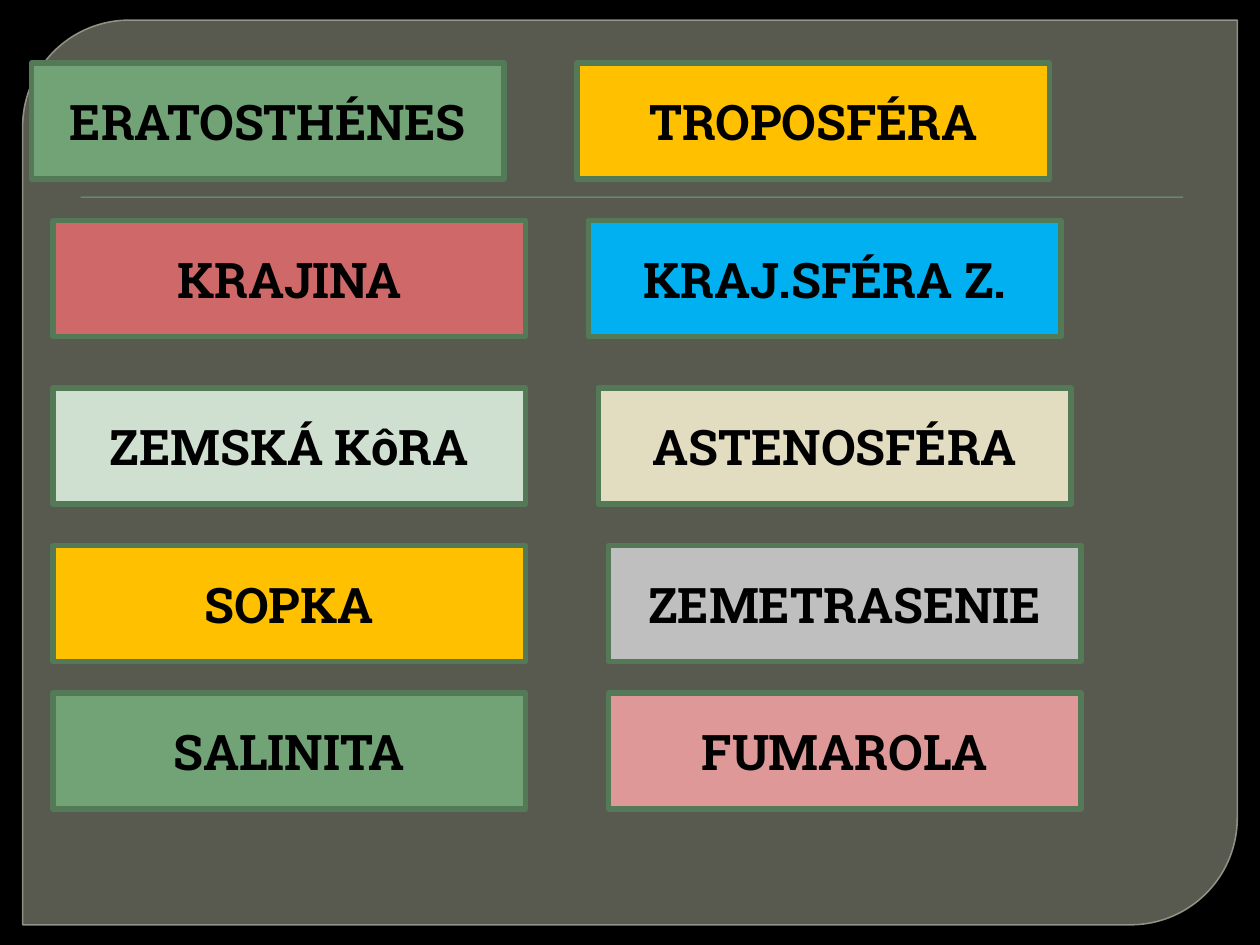
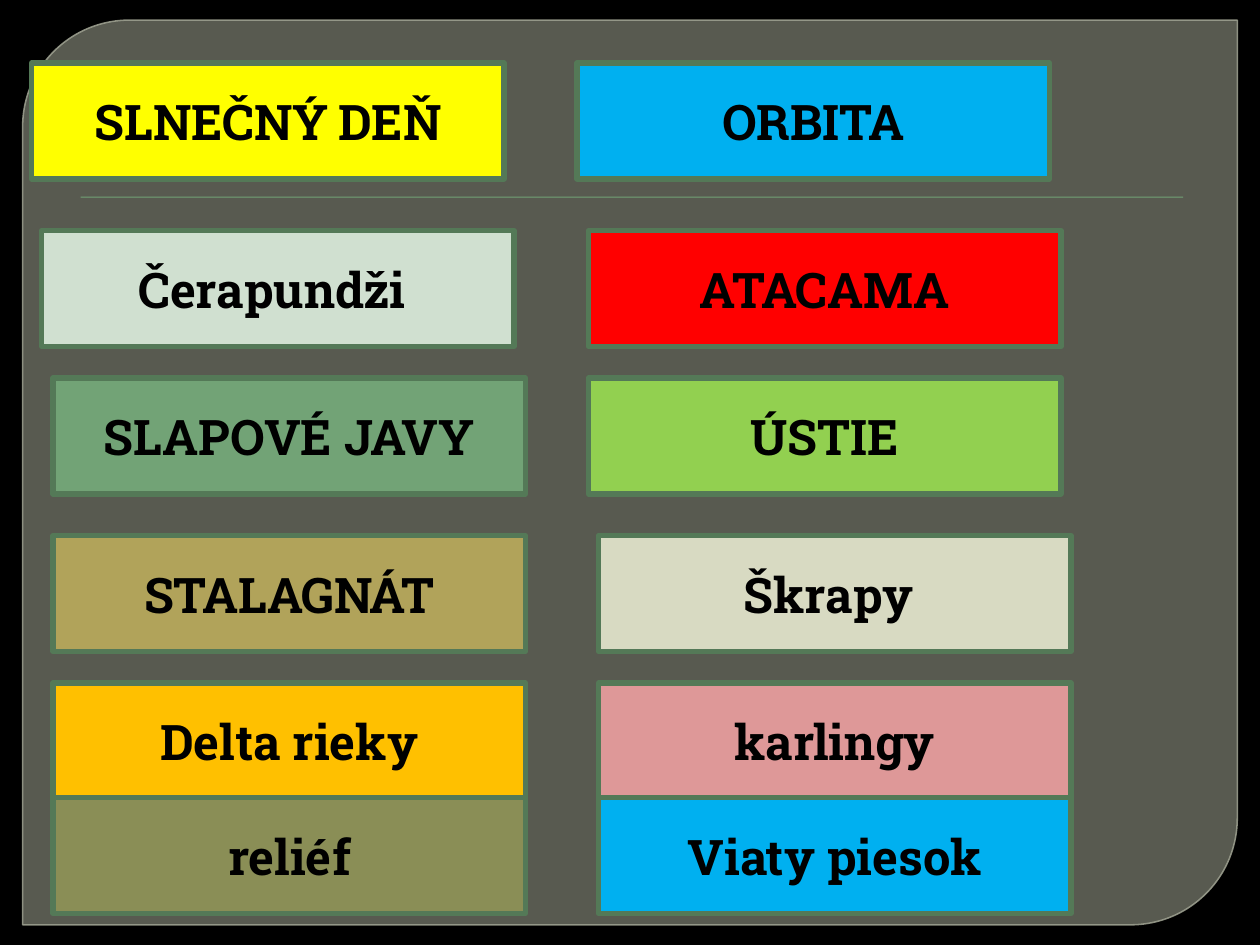
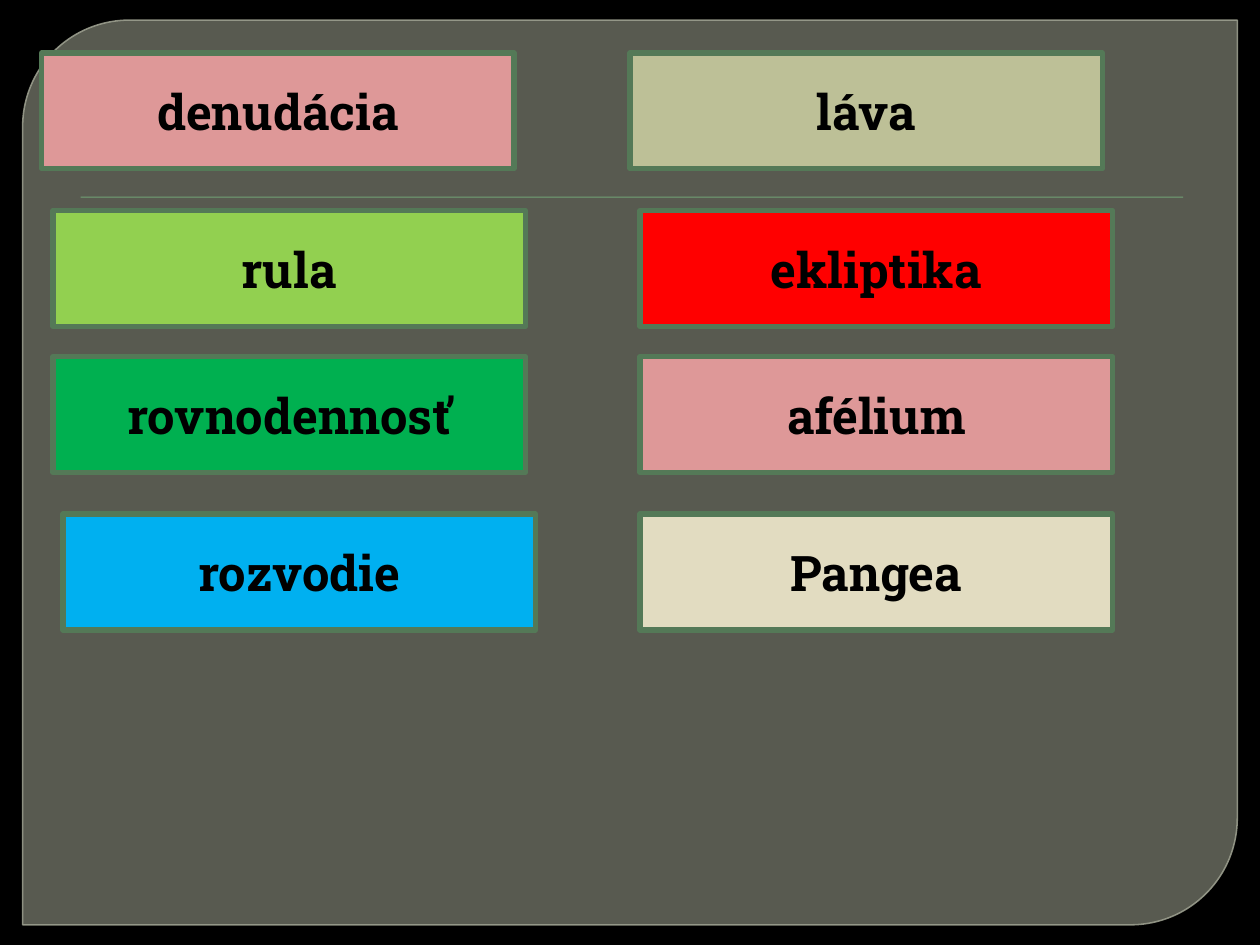
from dataclasses import dataclass

from pptx import Presentation
from pptx.dml.color import RGBColor as Rgb
from pptx.enum.shapes import MSO_SHAPE as Kind
from pptx.enum.text import MSO_ANCHOR as Anchor, PP_ALIGN as Align
from pptx.oxml import parse_xml
from pptx.oxml.ns import nsdecls, qn
from pptx.util import Inches, Pt


@dataclass(frozen=True)
class Theme:
    """Colours, type and card size of the deck."""
    back: str = "000000"
    panel: str = "888B7B"
    rim: str = "9DA090"
    edge: str = "547957"
    ink: str = "000000"
    font: str = "Roboto Slab"
    size: int = 28
    width: float = 3.75
    height: float = 0.92
    green: str = "72A376"
    gold: str = "FFC000"
    rose: str = "CF6868"
    pink: str = "DE9898"
    blue: str = "00B0F0"
    mint: str = "D0E0D0"
    sand: str = "E2DCC1"
    grey: str = "BFBFBF"
    yellow: str = "FFFF00"
    red: str = "FF0000"
    lime: str = "92D050"
    ochre: str = "B1A35A"
    pale: str = "D8DAC2"
    olive: str = "8A8E56"
    moss: str = "BDC097"
    leaf: str = "00B050"


T = Theme()

SLIDES = [
    [
        (0.5, (0.25, "ERATOSTHÉNES", T.green), (4.58, "TROPOSFÉRA", T.gold)),
        (1.75, (0.42, "KRAJINA", T.rose), (4.67, "KRAJ.SFÉRA Z.", T.blue)),
        (3.08, (0.42, "ZEMSKÁ KôRA", T.mint), (4.75, "ASTENOSFÉRA", T.sand)),
        (4.33, (0.42, "SOPKA", T.gold), (4.83, "ZEMETRASENIE", T.grey)),
        (5.5, (0.42, "SALINITA", T.green), (4.83, "FUMAROLA", T.pink)),
    ],
    [
        (0.5, (0.25, "SLNEČNÝ DEŇ", T.yellow), (4.58, "ORBITA", T.blue)),
        (1.83, (0.33, "Čerapundži ", T.mint), (4.67, "ATACAMA", T.red)),
        (3, (0.42, "SLAPOVÉ JAVY", T.green), (4.67, "ÚSTIE", T.lime)),
        (4.25, (0.42, "STALAGNÁT", T.ochre), (4.75, "Škrapy ", T.pale)),
        (5.42, (0.42, "Delta rieky", T.gold), (4.75, "karlingy", T.pink)),
        (6.33, (0.42, "reliéf", T.olive), (4.75, "Viaty piesok", T.blue)),
    ],
    [
        (0.42, (0.33, "denudácia", T.pink), (5, "láva", T.moss)),
        (1.67, (0.42, "rula", T.lime), (5.08, "ekliptika", T.red)),
        (2.83, (0.42, "rovnodennosť", T.leaf), (5.08, "afélium", T.pink)),
        (4.08, (0.5, "rozvodie", T.blue), (5.08, "Pangea", T.sand)),
    ],
]


def add_form(slide, kind, box, fill, line=None, weight=0):
    """Add a filled preset shape, with an outline if a colour is given."""
    form = slide.shapes.add_shape(kind, *map(Inches, box))
    form.shadow.inherit = False
    form.fill.solid()
    form.fill.fore_color.rgb = Rgb.from_string(fill)
    if line:
        form.line.color.rgb = Rgb.from_string(line)
        form.line.width = Pt(weight)
    else:
        form.line.fill.background()
    return form


def set_alpha(form, *shares):
    """Set the opacity in percent of the fill, then of the line."""
    for color, share in zip(form.element.iter(qn("a:srgbClr")), shares):
        color.append(parse_xml(f'<a:alpha {nsdecls("a")} val="{share * 1000}"/>'))


def add_shade(form):
    """Give a shape a soft shadow straight below it."""
    form.element.spPr.find(qn("a:effectLst")).append(parse_xml(
        f'<a:outerShdw {nsdecls("a")} blurRad="{Pt(1)}" dist="{Pt(1)}" dir="5400000">'
        '<a:srgbClr val="000000"><a:alpha val="75000"/></a:srgbClr></a:outerShdw>'))


def dress(layout, slide):
    """Put the panel and the thin rule on the layout."""
    panel = add_form(slide, Kind.ROUND_2_DIAG_RECTANGLE, (0.18, 0.16, 9.64, 7.18),
                     T.panel, T.rim, 0.87)
    panel.adjustments[0] = 0.118
    set_alpha(panel, 65, 88)
    rule = add_form(slide, Kind.RECTANGLE, (0.64, 1.56, 8.75, 0.01), T.green)
    add_shade(rule)
    for form in (panel, rule):
        layout.shapes.element.append(form.element)


def add_card(slide, left, top, text, fill):
    """Add one term card."""
    card = add_form(slide, Kind.RECTANGLE, (left, top, T.width, T.height), fill, T.edge, 3)
    frame = card.text_frame
    frame.word_wrap = True
    frame.vertical_anchor = Anchor.MIDDLE
    frame.text = text
    para = frame.paragraphs[0]
    para.alignment = Align.CENTER
    para.font.name = T.font
    para.font.size = Pt(T.size)
    para.font.bold = True
    para.font.color.rgb = Rgb.from_string(T.ink)


def main():
    """Build the deck of term cards."""
    deck = Presentation()
    deck.slide_width, deck.slide_height = Inches(10), Inches(7.5)
    ground = deck.slide_master.background.fill
    ground.solid()
    ground.fore_color.rgb = Rgb.from_string(T.back)
    layout = deck.slide_layouts[6]
    pages = [deck.slides.add_slide(layout) for _ in SLIDES]
    dress(layout, pages[0])
    for page, rows in zip(pages, SLIDES):
        for top, *cards in rows:
            for left, text, fill in cards:
                add_card(page, left, top, text, fill)
    deck.save("out.pptx")


if __name__ == "__main__":
    main()
